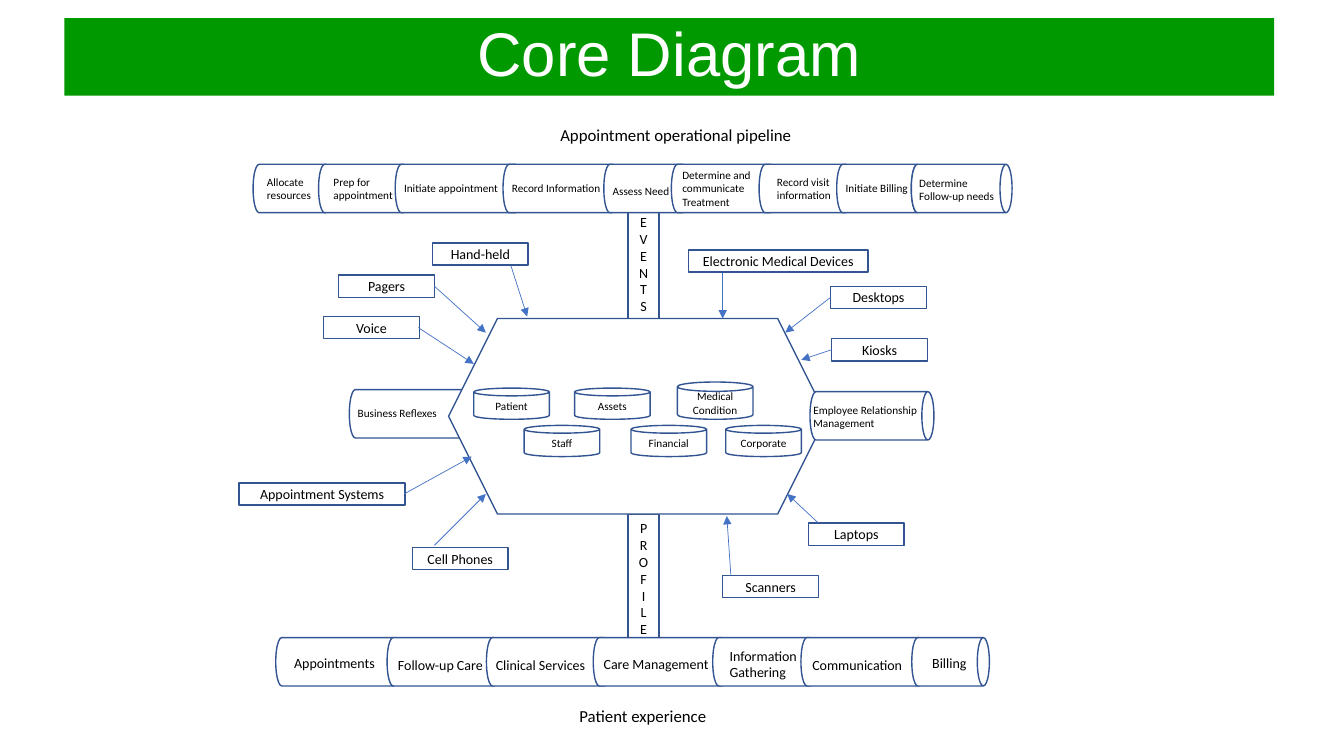
import pptx
import pptx.dml.color
import pptx.enum.shapes
import pptx.enum.text
import pptx.oxml
import pptx.oxml.ns
import pptx.util

FORM = pptx.enum.shapes.MSO_SHAPE
ALIGN = pptx.enum.text.PP_ALIGN
CELL = pptx.util.Inches(0.1)
PIPE_ROWS = 4.8
DEVICE_COLUMNS, DEVICE_ROWS = 9.5, 2.2
BLACK, WHITE, GREEN = "000000", "FFFFFF", "009900"
OUTLINE, ARROW = "325491", "4472C4"

# name, pipe column, pipe width, label column, label row, label width
PIPELINE = [
    ("Allocate\nresources", 25.1, 7.8, 25.5, 16.9, 9.7),
    ("Prep for\nappointment", 31.6, 9, 32.1, 16.9, 8.5),
    ("Initiate appointment", 39.2, 12.5, 39.1, 17.5, 12.5),
    ("Record Information", 49.9, 11.4, 49.8, 17.5, 12.5),
    ("Assess Need", 59.9, 8.4, 59.8, 17.8, 8.4),
    ("Determine and communicate Treatment", 66.6, 10.4, 66.7, 16.2, 11.2),
    ("Record visit information", 75.3, 9.2, 76.1, 16.9, 7.4),
    ("Initiate Billing", 83, 8.6, 82.9, 17.5, 12.5),
    ("Determine\nFollow-up needs", 90.4, 10, 90.2, 17, 10),
]
EXPERIENCE = [
    ("Appointments", 27.35, 12.3, 28.2, 64.4, 10.6),
    ("Follow-up Care", 38.4, 11.2, 38.5, 64.6, 10.6),
    ("Clinical Services", 48.25, 12.3, 48.2, 64.6, 10.9),
    ("Care Management", 58.85, 13.3, 58.9, 64.5, 12.6),
    ("Information Gathering", 70.7, 10.2, 71.4, 63.7, 10.2),
    ("Communication", 79.45, 12.3, 79.6, 64.6, 12.2),
    ("Billing", 90.45, 7.7, 91.5, 64.4, 6.7),
]
REFLEXES = [("Business Reflexes", 34.65, 12.3, 34.5, 39.8, 12.5)]
RELATIONS = [("Employee Relationship Management", 80.35, 12.3, 79.7, 39.5, 12.5)]
DATA_STORES = [
    ("Patient", 47, 38.5, 3.1),
    ("Assets", 57, 38.5, 3.1),
    ("Medical Condition", 67.2, 37.9, 3.7),
    ("Staff", 52, 42.2, 3.1),
    ("Financial", 62.6, 42.2, 3.1),
    ("Corporate", 72, 42.2, 3.1),
]
# name, column, row, width, arrow start, arrow end
DEVICES = [
    ("Kiosks", 82.5, 33.6, DEVICE_COLUMNS, (82.5, 34.7), (79.5, 35.7)),
    ("Cell Phones", 40.9, 54.3, DEVICE_COLUMNS, (43.1, 54.1), (48.2, 49)),
    ("Desktops", 82.4, 28.4, DEVICE_COLUMNS, (82.4, 29.5), (77.9, 33)),
    ("Laptops", 80.2, 51.9, DEVICE_COLUMNS, (81.2, 51.9), (78.1, 49)),
    ("Hand-held", 42.9, 24.1, DEVICE_COLUMNS, (50.7, 26.4), (52.3, 31.4)),
    ("Voice", 32.1, 31.4, DEVICE_COLUMNS, (41.5, 32.5), (47, 36.1)),
    ("Pagers", 33.6, 27.3, DEVICE_COLUMNS, (43.1, 28.4), (48.2, 33)),
    ("Scanners", 71.7, 57.1, DEVICE_COLUMNS, (72.5, 57), (72.1, 51.2)),
    ("Electronic Medical Devices", 68.3, 24.8, 17.8, (71.7, 27.1), (71.7, 31.6)),
    ("Appointment Systems", 23.7, 47.9, 16.5, (40.1, 49), (46.8, 45.3)),
]


def grid(*cells):
    """Turn counts of grid cells into lengths."""
    return [round(cell * CELL) for cell in cells]


def color(hex_text):
    """Make a colour from a hex string."""
    return pptx.dml.color.RGBColor.from_string(hex_text)


def write(box, text, size, align, font="Calibri", ink=BLACK):
    """Put formatted text into a shape or text box."""
    frame = box.text_frame
    frame.text = text
    frame.word_wrap = True
    for para in frame.paragraphs:
        para.alignment = align
        for span in para.runs:
            span.font.name = font
            span.font.size = pptx.util.Pt(size)
            span.font.color.rgb = color(ink)


def add_form(shapes, form, area, text="", size=10):
    """Draw an outlined white shape with centred text."""
    box = shapes.add_shape(form, *grid(*area))
    box.shadow.inherit = False
    box.fill.solid()
    box.fill.fore_color.rgb = color(WHITE)
    box.line.color.rgb = color(OUTLINE)
    box.line.width = pptx.util.Pt(1)
    if text:
        write(box, text, size, ALIGN.CENTER)
        box.text_frame.vertical_anchor = pptx.enum.text.MSO_ANCHOR.MIDDLE
    return box


def add_label(shapes, text, column, row, columns, size):
    """Place left-aligned text whose box grows with its lines."""
    box = shapes.add_textbox(*grid(column, row, columns, 2.4))
    write(box, text, size, ALIGN.LEFT)
    box.text_frame.auto_size = pptx.enum.text.MSO_AUTO_SIZE.SHAPE_TO_FIT_TEXT


def add_pipes(page, row, pipes, size):
    """Group a run of lying cylinders with their labels."""
    group = page.shapes.add_group_shape()
    for name, column, length, label_column, label_row, label_columns in pipes:
        shift = (length - PIPE_ROWS) / 2
        area = (column + shift, row - shift, PIPE_ROWS, length)
        add_form(group.shapes, FORM.CAN, area).rotation = 90
        add_label(group.shapes, name, label_column, label_row, label_columns, size)


def add_core(page):
    """Group the hexagon with the data stores inside it."""
    group = page.shapes.add_group_shape()
    add_form(group.shapes, FORM.HEXAGON, (44.5, 31.6, 37.5, 19.4))
    for name, column, row, rows in DATA_STORES:
        add_form(group.shapes, FORM.CAN, (column, row, 7.5, rows), name, 8)


def add_arrow(page, start, end):
    """Draw a thin arrow between two grid points."""
    link = page.shapes.add_connector(
        pptx.enum.shapes.MSO_CONNECTOR.STRAIGHT, *grid(*start, *end))
    link.line.color.rgb = color(ARROW)
    link.line.width = pptx.util.Pt(0.5)
    head = pptx.oxml.parse_xml(
        f'<a:tailEnd {pptx.oxml.ns.nsdecls("a")} type="triangle"/>')
    link.line._get_or_add_ln().append(head)
    effects = pptx.oxml.parse_xml(f'<a:effectLst {pptx.oxml.ns.nsdecls("a")}/>')
    link._element.spPr.append(effects)


def add_title(page, text):
    """Draw the green title banner."""
    banner = add_form(page.shapes, FORM.RECTANGLE, (6.4, 1.8, 120, 7.7), text)
    banner.fill.fore_color.rgb = color(GREEN)
    banner.line.fill.background()
    write(banner, text, 44, ALIGN.CENTER, "Arial", WHITE)
    banner.text_frame.paragraphs[0].line_spacing = 0.9


def main():
    """Build the core diagram slide."""
    deck = pptx.Presentation()
    deck.slide_width, deck.slide_height = grid(133.33, 75)
    page = deck.slides.add_slide(deck.slide_layouts[6])
    for word, row, rows in [("EVENTS", 20.6, 11.2), ("PROFILE", 51, 12.8)]:
        area = (62.3, row, 3.1, rows)
        add_form(page.shapes, FORM.RECTANGLE, area, "\n".join(word))
    add_pipes(page, 38.65, REFLEXES, 8)
    add_core(page)
    add_pipes(page, 38.85, RELATIONS, 8)
    add_label(page.shapes, "Patient experience", 56.5, 69.5, 16, 12)
    add_pipes(page, 63.25, EXPERIENCE, 10)
    add_pipes(page, 16.3, PIPELINE, 8)
    add_label(page.shapes, "Appointment operational pipeline", 54.6, 11.9, 27.8, 12)
    for name, column, row, columns, start, end in DEVICES:
        area = (column, row, columns, DEVICE_ROWS)
        add_form(page.shapes, FORM.RECTANGLE, area, name)
        add_arrow(page, start, end)
    add_title(page, "Core Diagram")
    deck.save("out.pptx")


main()
